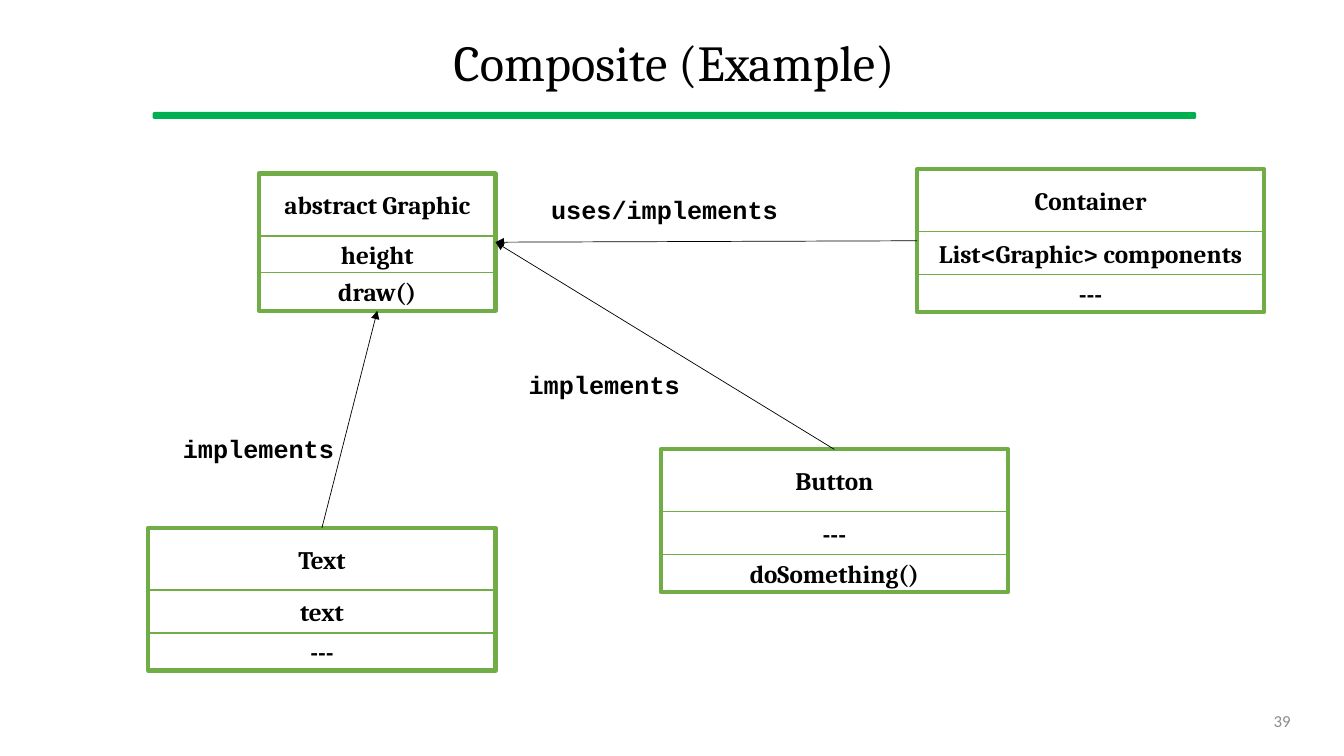
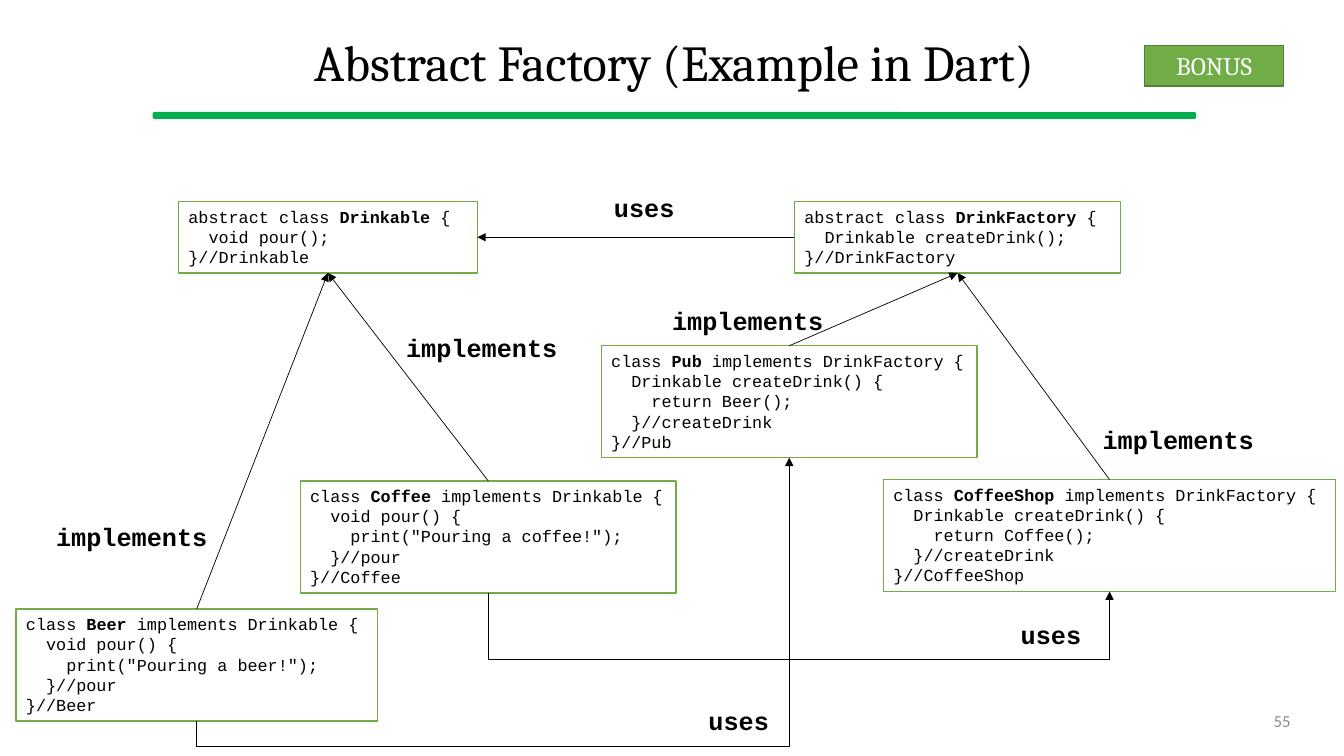
from lxml.etree import SubElement
from pptx import Presentation
from pptx.dml.color import RGBColor
from pptx.enum.shapes import MSO_CONNECTOR, MSO_SHAPE
from pptx.enum.text import MSO_ANCHOR, MSO_AUTO_SIZE, PP_ALIGN
from pptx.oxml.ns import qn
from pptx.util import Pt

COLORS = {
    "band": "00B050",
    "box": "70AD47",
    "badge_line": "538035",
    "text": "000000",
    "paper": "FFFFFF",
    "page": "8C8C8C",
}
SERIF, MONO, SANS = "Cambria", "Courier New", "Calibri"
TOP, LEFT, BOTTOM, RIGHT = range(4)


def rgb(name):
    return RGBColor.from_string(COLORS[name])


class Deck:
    """Holds the style, the presentation and the current slide."""

    def __init__(self):
        self.presentation = Presentation()
        self.presentation.slide_width = Pt(960)
        self.presentation.slide_height = Pt(540)
        self.layout = self.presentation.slide_layouts[5]
        self.slide = None

    def add_slide(self, title, page):
        first = self.slide is None
        self.slide = self.presentation.slides.add_slide(self.layout)
        if first:
            self.add_layout_band()
        shape = self.slide.shapes.title
        shape.left, shape.top, shape.width, shape.height = Pt(34), Pt(13), Pt(895), Pt(67.5)
        shape.text_frame.auto_size = MSO_AUTO_SIZE.NONE
        self.set_text(shape, title, SERIF, 36, align=PP_ALIGN.CENTER)
        shape.text_frame.paragraphs[0].line_spacing = 0.9
        number = self.slide.shapes.add_textbox(Pt(678.5), Pt(500.5), Pt(250.5), Pt(29))
        self.set_text(number, page, SANS, 12, "page", align=PP_ALIGN.RIGHT)

    def add_layout_band(self):
        """Draw the band and move it to the layout, so every slide shows it."""
        band = self.add_box(109.5, 80.5, 744.5, 4, "band", "band",
                            kind=MSO_SHAPE.ROUNDED_RECTANGLE)
        band.adjustments[0] = 0.26
        self.layout.shapes.element.append(band.element)

    def set_text(self, shape, text, font, size, color="text", bold=False,
                 align=PP_ALIGN.LEFT, anchor=MSO_ANCHOR.MIDDLE):
        frame = shape.text_frame
        frame.word_wrap = True
        frame.vertical_anchor = anchor
        frame.text = text
        for paragraph in frame.paragraphs:
            paragraph.alignment = align
            paragraph.font.name = font
            paragraph.font.size = Pt(size)
            paragraph.font.bold = bold
            paragraph.font.color.rgb = rgb(color)

    def add_box(self, left, top, width, height, fill="paper", line="box", weight=1,
                kind=MSO_SHAPE.RECTANGLE):
        shape = self.slide.shapes.add_shape(kind, Pt(left), Pt(top), Pt(width), Pt(height))
        shape.shadow.inherit = False
        if fill:
            shape.fill.solid()
            shape.fill.fore_color.rgb = rgb(fill)
        else:
            shape.fill.background()
        shape.line.color.rgb = rgb(line)
        shape.line.width = Pt(weight)
        return shape

    def add_class(self, left, top, width, rows, heights=(44.5, 30.5, 27)):
        """Stack the rows of a class diagram and return the frame around them."""
        row_top = top
        for text, height in zip(rows, heights):
            row = self.add_box(left, row_top, width, height)
            self.set_text(row, text, SERIF, 18, bold=True, align=PP_ALIGN.CENTER)
            row_top += height
        return self.add_box(left, top, width, sum(heights), fill=None, weight=3)

    def add_code(self, left, top, width, before, name, after, *body):
        """Show a class as code, with its name in bold."""
        shape = self.add_box(left, top, width, 80 if len(body) > 2 else 51)
        self.set_text(shape, "\n".join(("", *body)), MONO, 12, anchor=MSO_ANCHOR.TOP)
        header = shape.text_frame.paragraphs[0]
        for text, bold in ((before, False), (name, True), (after, False)):
            run = header.add_run()
            run.text = text
            run.font.bold = bold
        return shape

    def add_label(self, left, top, text):
        width = 10.8 * len(text) + 14.4
        label = self.slide.shapes.add_textbox(Pt(left), Pt(top), Pt(width), Pt(29))
        self.set_text(label, text, MONO, 18, bold=True, anchor=MSO_ANCHOR.TOP)
        label.text_frame.word_wrap = False
        label.text_frame.auto_size = MSO_AUTO_SIZE.SHAPE_TO_FIT_TEXT

    def add_badge(self, text):
        badge = self.add_box(817.5, 32.5, 99.5, 29, "box", "badge_line")
        self.set_text(badge, text, SERIF, 18, "paper", align=PP_ALIGN.CENTER)

    def add_arrow(self, source, source_side, target, target_side, kind=MSO_CONNECTOR.STRAIGHT):
        arrow = self.slide.shapes.add_connector(kind, 0, 0, 0, 0)
        arrow.begin_connect(source, source_side)
        arrow.end_connect(target, target_side)
        arrow.line.color.rgb = rgb("text")
        arrow.line.width = Pt(0.5)
        properties = arrow.element.spPr
        SubElement(properties.find(qn("a:ln")), qn("a:tailEnd"), type="triangle")
        SubElement(properties, qn("a:effectLst"))
        return arrow

    def add_arrow_below(self, source, target, turn):
        """Run from bottom to bottom by way of the height given by turn."""
        arrow = self.add_arrow(source, BOTTOM, target, BOTTOM, MSO_CONNECTOR.ELBOW)
        start_x, start_y, end_x, end_y = arrow.begin_x, arrow.begin_y, arrow.end_x, arrow.end_y
        rise, run = start_y - end_y, end_x - start_x
        # The shape lies on its side, so its width is the rise
        arrow.left = (start_x + end_x - rise) // 2
        arrow.top = (start_y + end_y - run) // 2
        arrow.width, arrow.height = rise, run
        properties = arrow.element.spPr
        frame = properties.find(qn("a:xfrm"))
        for name, value in (("rot", "5400000"), ("flipH", "1"), ("flipV", "1")):
            frame.set(name, value)
        bend = round((start_y - Pt(turn)) / rise * 100000)
        guides = properties.find(qn("a:prstGeom")).find(qn("a:avLst"))
        SubElement(guides, qn("a:gd"), name="adj1", fmla=f"val {bend}")


def add_composite(deck):
    deck.add_slide("Composite (Example)", "39")
    # Classes
    graphic = deck.add_class(185, 124, 169, ("abstract Graphic", "height", "draw()"),
                             (44.5, 26, 27.5))
    container = deck.add_class(655, 121, 248, ("Container", "List<Graphic> components", "---"))
    button = deck.add_class(472, 321, 248, ("Button", "---", "doSomething()"))
    text = deck.add_class(106, 377, 248, ("Text", "text", "---"))
    # Relations
    deck.add_arrow(container, LEFT, graphic, RIGHT)
    deck.add_arrow(button, TOP, graphic, RIGHT)
    deck.add_arrow(text, TOP, graphic, BOTTOM)
    deck.add_label(386.5, 135.5, "uses/implements")
    deck.add_label(370.5, 260.5, "implements")
    deck.add_label(123.5, 306, "implements")


def add_abstract_factory(deck):
    deck.add_slide("Abstract Factory (Example in Dart)", "55")
    deck.add_badge("BONUS")
    # Abstract classes
    drinkable = deck.add_code(127.5, 144, 213.5, "abstract class ", "Drinkable", " {",
                              "  void pour();", "}//Drinkable")
    factory = deck.add_code(567.5, 144, 233, "abstract class ", "DrinkFactory", " {",
                            "  Drinkable createDrink();", "}//DrinkFactory")
    # Drinks
    drinks = [
        deck.add_code(left, top, width, "class ", name, " implements Drinkable {",
                      "  void pour() {", f'    print("Pouring a {name.lower()}!");',
                      "  }//pour", f"}}//{name}")
        for left, top, width, name in ((11.5, 435, 258, "Beer"), (214.5, 343.5, 268.5, "Coffee"))
    ]
    # Factories
    shops = [
        deck.add_code(left, top, width, "class ", name, " implements DrinkFactory {",
                      "  Drinkable createDrink() {", f"    return {drink}();",
                      "  }//createDrink", f"}}//{name}")
        for left, top, width, name, drink in (
            (429.5, 247, 268.5, "Pub", "Beer"), (631, 342.5, 323, "CoffeeShop", "Coffee"))
    ]
    # Relations
    deck.add_arrow(factory, LEFT, drinkable, RIGHT)
    for drink, shop, turn in zip(drinks, shops, (533, 471.5)):
        deck.add_arrow(drink, TOP, drinkable, BOTTOM)
        deck.add_arrow(shop, TOP, factory, BOTTOM)
        deck.add_arrow_below(drink, shop, turn)
    for left, top in ((283, 233.5), (473, 214.5), (780.5, 299.5), (33, 368.5)):
        deck.add_label(left, top, "implements")
    for left, top in ((431.5, 134), (722, 439), (499, 500.5)):
        deck.add_label(left, top, "uses")


def main():
    deck = Deck()
    add_composite(deck)
    add_abstract_factory(deck)
    deck.presentation.save("out.pptx")


if __name__ == "__main__":
    main()
